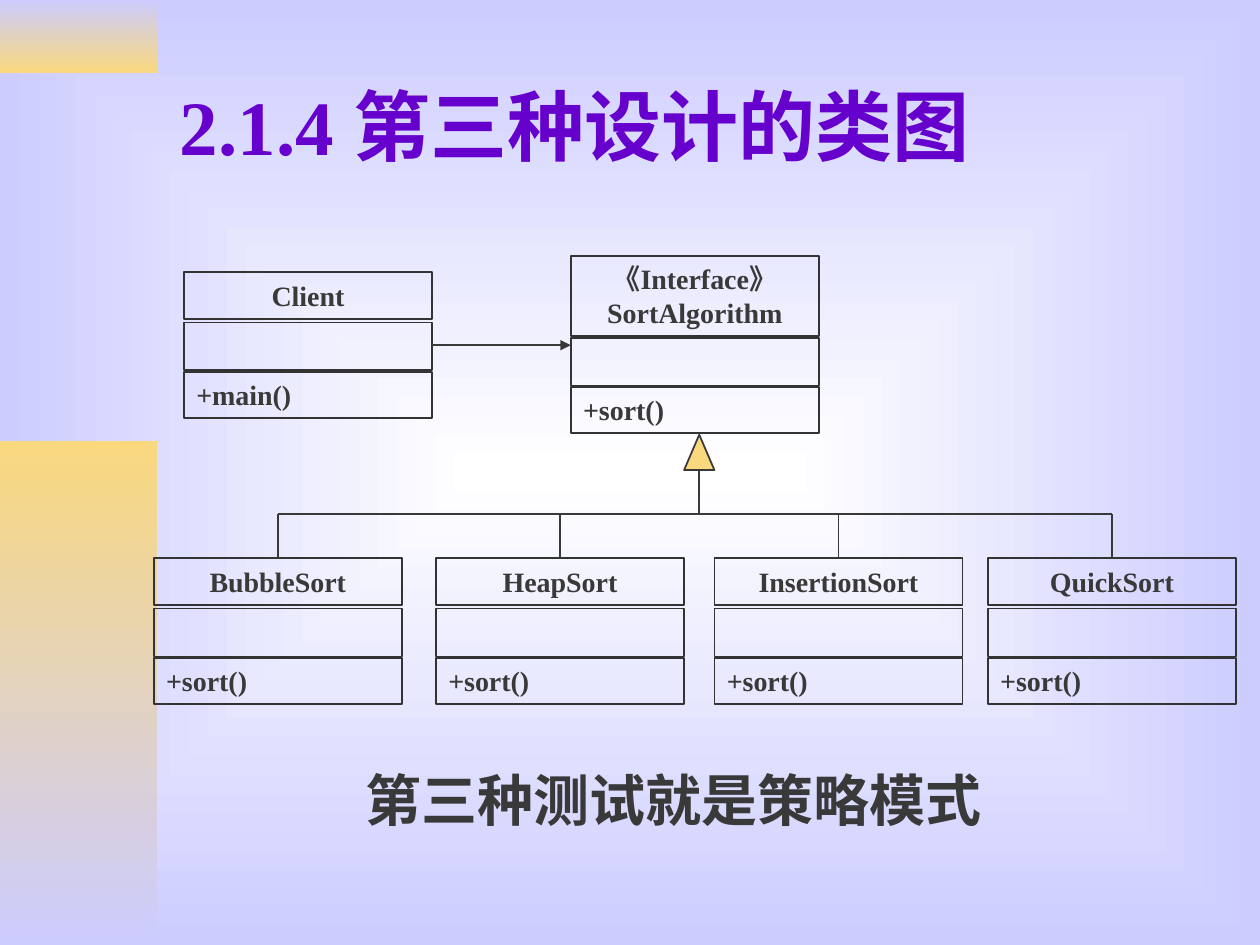
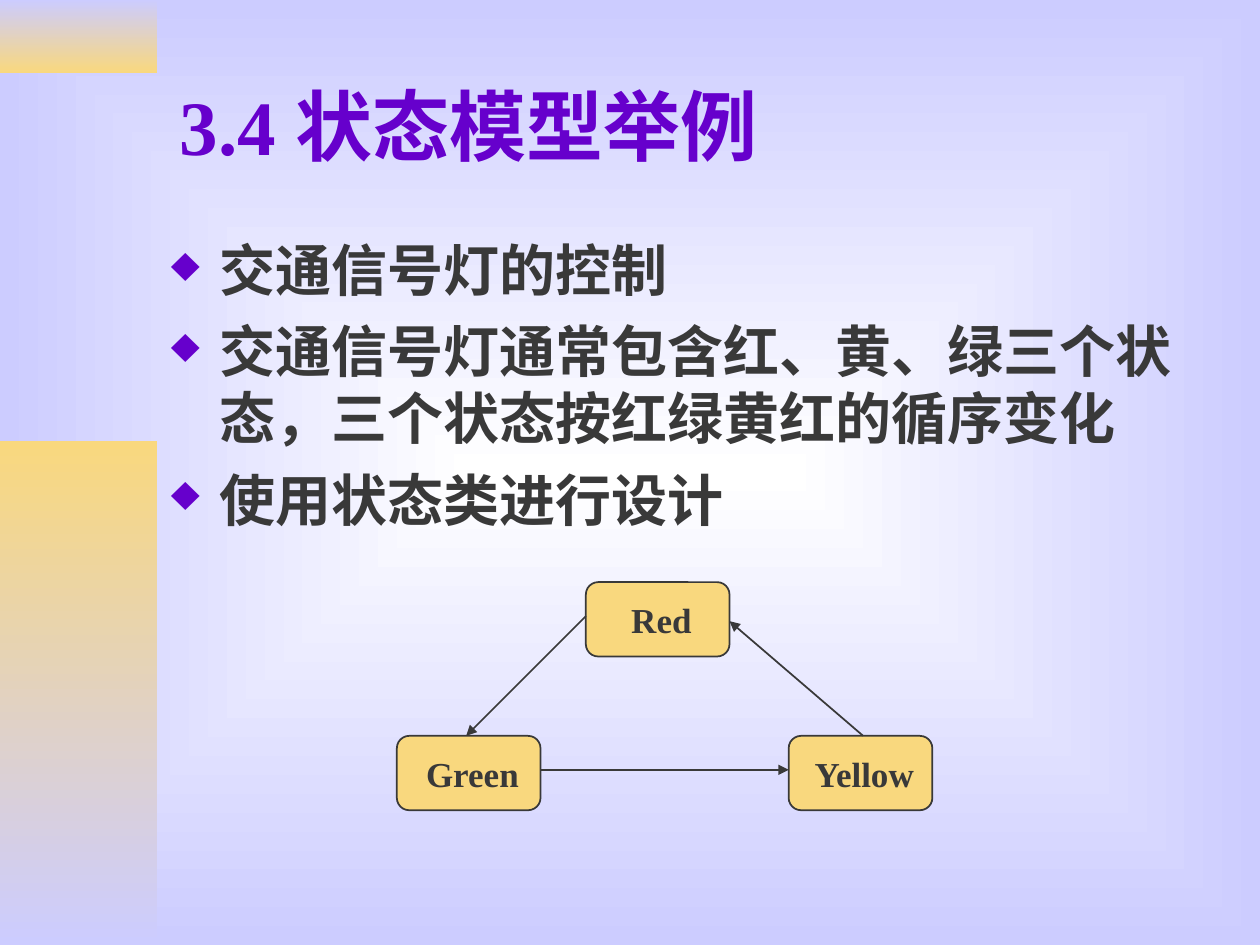
from lxml.etree import SubElement
from pptx import Presentation
from pptx.dml.color import RGBColor
from pptx.enum.shapes import MSO_CONNECTOR, MSO_SHAPE
from pptx.enum.text import MSO_ANCHOR, PP_ALIGN
from pptx.oxml.ns import qn
from pptx.util import Inches, Pt

LAVENDER, GOLD, WHITE = "CCCCFF", "F9D87E", "FFFFFF"
PURPLE, INK, FRAME = "6600CC", "393939", "333333"
FONT = "Times New Roman"
CLASS_WIDTH, ROW, ATTRIBUTES_ROW = 1.97, 0.37, 0.38
STATE_WIDTH, STATE_HEIGHT = 1.14, 0.59
FRAME_FORMAT = {"margin_left": Inches(0.1), "margin_right": Inches(0.1),
                "margin_top": Inches(0.05), "margin_bottom": Inches(0.05),
                "word_wrap": True, "vertical_anchor": MSO_ANCHOR.TOP}


def rgb(code):
    """Turn a hex string into a colour."""
    return RGBColor.from_string(code)


def apply(target, values):
    """Set each named attribute on the target."""
    for name, value in values.items():
        setattr(target, name, value)


def write(holder, lines, size, color=INK, align=PP_ALIGN.LEFT, bullet=None, **frame_changes):
    """Write paragraphs into a shape or text box."""
    frame = holder.text_frame
    apply(frame, FRAME_FORMAT | frame_changes)
    for index, line in enumerate(lines):
        paragraph = frame.paragraphs[0] if index == 0 else frame.add_paragraph()
        paragraph.text = line
        paragraph.alignment = align
        if bullet:
            add_bullet(paragraph, bullet)
        if index:
            paragraph.space_before = Pt(8)
        apply(paragraph.font, {"name": FONT, "size": Pt(size), "bold": True})
        paragraph.font.color.rgb = rgb(color)


def add_bullet(paragraph, symbol):
    """Give a paragraph a hanging purple bullet."""
    properties = paragraph._p.get_or_add_pPr()
    properties.set("marL", str(Inches(0.38)))
    properties.set("indent", str(-Inches(0.38)))
    tint = SubElement(properties, qn("a:buClr"))
    SubElement(tint, qn("a:srgbClr"), val=PURPLE)
    SubElement(properties, qn("a:buSzPct"), val="90000")
    SubElement(properties, qn("a:buChar"), char=symbol)


def add_text(slide, box, lines, size, **options):
    """Add a text box at left, top, width, height."""
    write(slide.shapes.add_textbox(*map(Inches, box)), lines, size, **options)


def add_block(slide, preset, box, fill=None, line=INK):
    """Add a preset shape with a flat fill and a thin outline."""
    block = slide.shapes.add_shape(preset, *map(Inches, box))
    block.shadow.inherit = False
    if fill:
        block.fill.solid()
        block.fill.fore_color.rgb = rgb(fill)
    else:
        block.fill.background()
    block.line.color.rgb = rgb(line)
    block.line.width = Pt(1)
    return block


def add_line(slide, start, end, arrow=False):
    """Join two points, with an arrowhead at the end if asked."""
    link = slide.shapes.add_connector(MSO_CONNECTOR.STRAIGHT, *map(Inches, start + end))
    link.line.color.rgb = rgb(INK)
    link.line.width = Pt(1)
    if arrow:
        SubElement(link.line._get_or_add_ln(), qn("a:tailEnd"), type="triangle")
    SubElement(link._element.spPr, qn("a:effectLst"))


def set_gradient(fill, colors):
    """Apply a two-colour gradient."""
    fill.gradient()
    for stop, color in zip(fill.gradient_stops, colors):
        stop.color.rgb = rgb(color)


def add_backdrop(slide):
    """Paint the glowing background and the two side bands."""
    set_gradient(slide.background.fill, (WHITE, LAVENDER))
    gradient = slide.element.find(f".//{qn('a:gradFill')}")
    gradient.remove(gradient.find(qn("a:lin")))
    glow = SubElement(gradient, qn("a:path"), path="rect")
    SubElement(glow, qn("a:fillToRect"), l="50000", t="50000", r="50000", b="50000")
    for top, height, colors in ((0, 0.58, (LAVENDER, GOLD)), (3.5, 4, (GOLD, LAVENDER))):
        band = add_block(slide, MSO_SHAPE.RECTANGLE, (0, top, 1.25, height))
        set_gradient(band.fill, colors)
        band.fill.gradient_angle = 270
        band.line.fill.background()


def new_slide(deck, title):
    """Start a slide with the shared backdrop and title."""
    slide = deck.slides.add_slide(deck.slide_layouts[6])
    add_backdrop(slide)
    add_text(slide, (1.33, 0.33, 8.5, 1.32), [title], 44, color=PURPLE,
             vertical_anchor=MSO_ANCHOR.MIDDLE)
    return slide


def add_class(slide, left, top, bottom, name, method, header=ROW):
    """Draw a class with name, attribute and method compartments."""
    rows = ((top, header, name, PP_ALIGN.CENTER),
            (bottom - ROW - ATTRIBUTES_ROW - 0.01, ATTRIBUTES_ROW, None, None),
            (bottom - ROW, ROW, method, PP_ALIGN.LEFT))
    for row_top, height, label, align in rows:
        row = add_block(slide, MSO_SHAPE.RECTANGLE,
                        (left, row_top, CLASS_WIDTH, height), line=FRAME)
        if label:
            write(row, [label], 16, align=align)


def add_inheritance(slide, tip, bus_y, child_xs, child_top):
    """Draw the generalisation tree from the children to the tip."""
    tip_x, tip_y = tip
    for x in child_xs:
        add_line(slide, (x, bus_y), (x, child_top))
    add_line(slide, (child_xs[0], bus_y), (child_xs[-1], bus_y))
    add_line(slide, (tip_x, tip_y + 0.28), (tip_x, bus_y))
    add_block(slide, MSO_SHAPE.ISOSCELES_TRIANGLE, (tip_x - 0.12, tip_y, 0.24, 0.28), GOLD)


def build_class_diagram(deck):
    """Build the class diagram slide."""
    slide = new_slide(deck, "2.1.4 第三种设计的类图")
    add_text(slide, (1.1, 6.03, 8.5, 0.99), ["第三种测试就是策略模式"], 32,
             align=PP_ALIGN.CENTER)
    client_left, interface_left, child_top = 1.46, 4.53, 4.43
    add_class(slide, client_left, 2.16, 3.32, "Client", "+main()")
    add_class(slide, interface_left, 2.03, 3.44, "《Interface》\vSortAlgorithm", "+sort()",
              header=0.64)
    algorithms = {"BubbleSort": 1.22, "HeapSort": 3.46, "InsertionSort": 5.67, "QuickSort": 7.84}
    for name, left in algorithms.items():
        add_class(slide, left, child_top, 5.59, name, "+sort()")
    add_line(slide, (client_left + CLASS_WIDTH, 2.74), (interface_left, 2.74), arrow=True)
    child_xs = [left + CLASS_WIDTH / 2 for left in algorithms.values()]
    add_inheritance(slide, (5.55, 3.45), 4.08, child_xs, child_top)


def add_state_cycle(slide, left, top):
    """Draw the three light states and their transitions."""
    places = {"Yellow": (left + 3.11, top + 1.22), "Red": (left + 1.5, top),
              "Green": (left, top + 1.22)}
    for name, place in places.items():
        state = add_block(slide, MSO_SHAPE.ROUNDED_RECTANGLE,
                          (*place, STATE_WIDTH, STATE_HEIGHT), GOLD)
        write(state, [name], 20, align=PP_ALIGN.CENTER, margin_left=Inches(0.11),
              margin_right=Inches(0.05), vertical_anchor=MSO_ANCHOR.MIDDLE)
    (yellow_x, yellow_y), (red_x, red_y), (green_x, green_y) = places.values()
    transitions = (
        ((green_x + STATE_WIDTH, green_y + 0.27), (yellow_x, yellow_y + 0.27)),
        ((yellow_x + 0.59, yellow_y), (red_x + STATE_WIDTH, red_y + 0.31)),
        ((red_x, red_y + 0.27), (green_x + 0.55, green_y)),
    )
    for start, end in transitions:
        add_line(slide, start, end, arrow=True)


def build_state_model(deck):
    """Build the traffic light state slide."""
    slide = new_slide(deck, "3.4 状态模型举例")
    points = ["交通信号灯的控制",
              "交通信号灯通常包含红、黄、绿三个状态，三个状态按红绿黄红的循序变化",
              "使用状态类进行设计"]
    add_text(slide, (1.26, 1.82, 8.31, 2.76), points, 32, bullet="♦")
    add_state_cycle(slide, 3.15, 4.62)


def main():
    """Build and save the deck."""
    deck = Presentation()
    apply(deck, {"slide_width": Inches(10), "slide_height": Inches(7.5)})
    build_class_diagram(deck)
    build_state_model(deck)
    deck.save("out.pptx")


if __name__ == "__main__":
    main()
